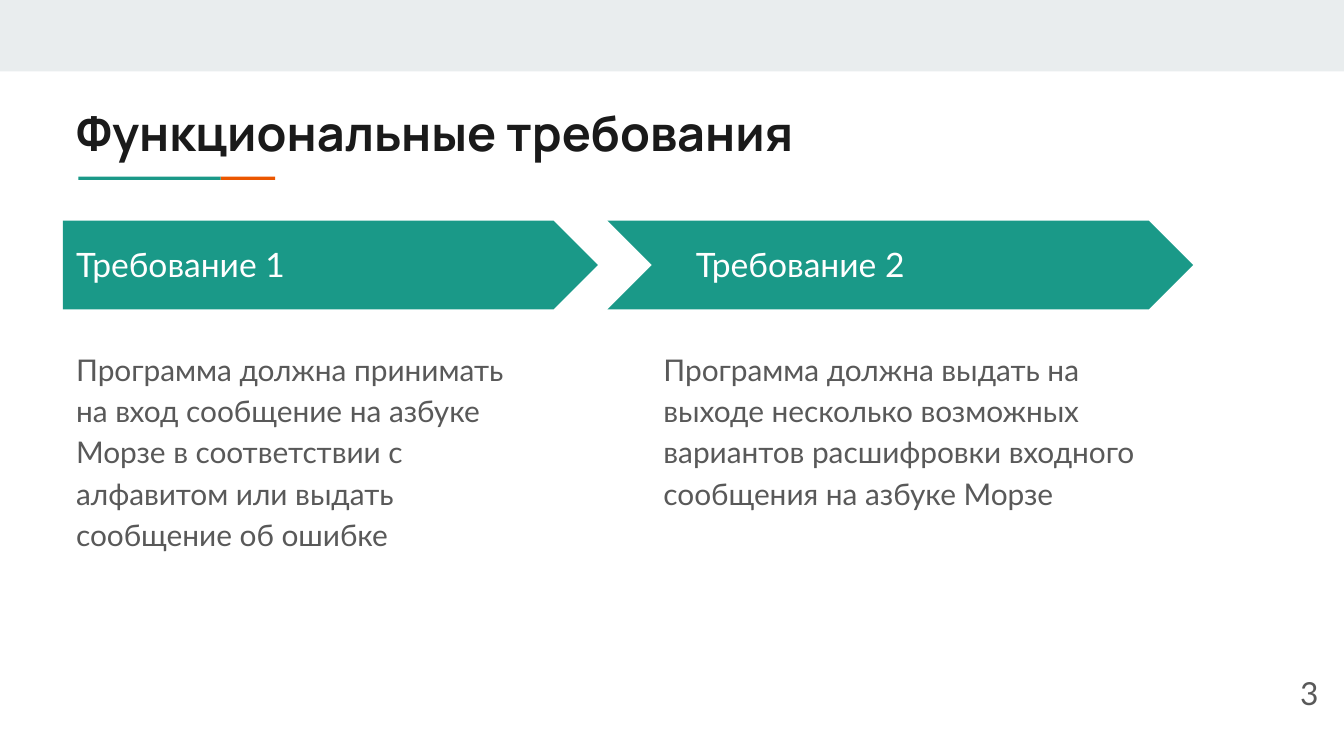
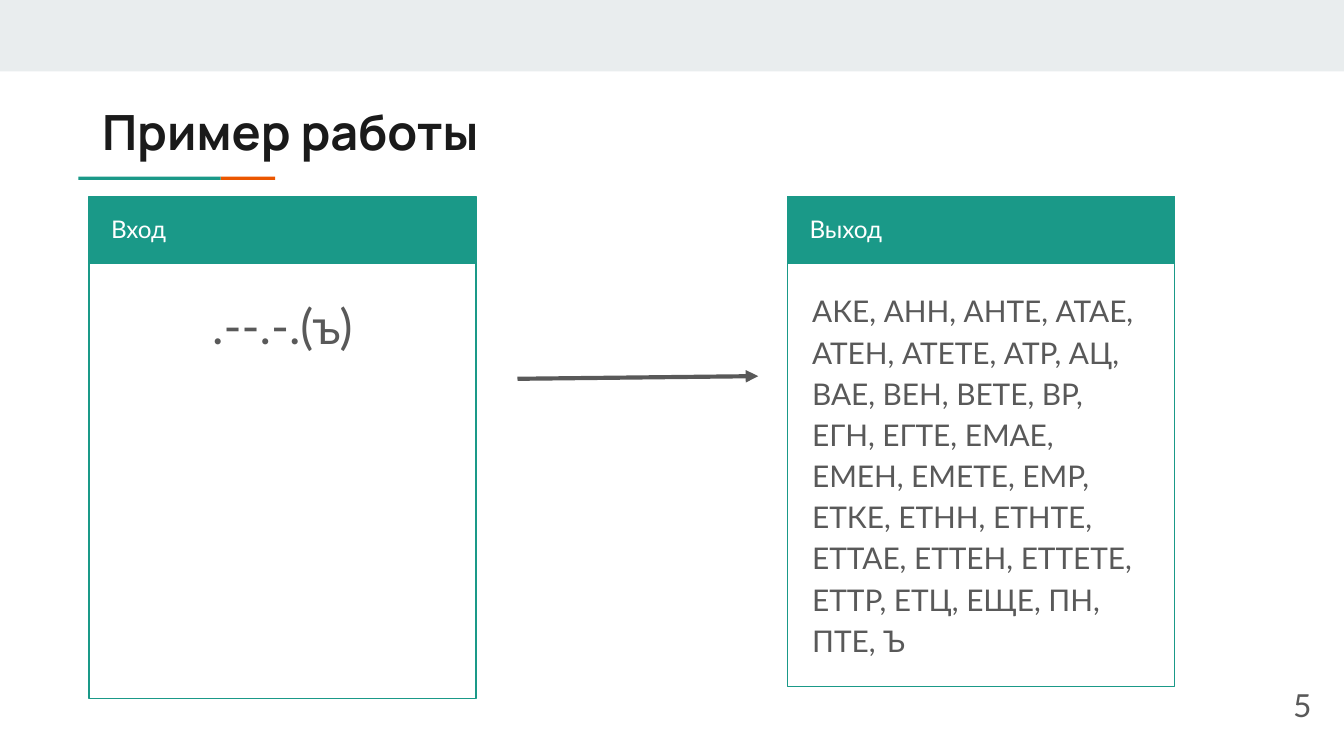
from collections import namedtuple

from lxml import etree
from pptx import Presentation
from pptx import util as u
from pptx.dml.color import RGBColor
from pptx.enum import shapes, text
from pptx.oxml import ns

TEAL = "1A9988"
ORANGE = "EB5600"
BAND = "E9EDEE"
INK = "1A1A1A"
GREY = "595959"
WHITE = "FFFFFF"
BODY_FONT = "Lato"
TITLE_FONT = "Manrope"
SLIDE_WIDTH, SLIDE_HEIGHT = 25.4, 14.29

Box = namedtuple("Box", "left top width height")


def color(hex_string):
    return RGBColor.from_string(hex_string)


def lengths(box):
    return [u.Cm(value) for value in box]


def write(shape, content, size=16, font=BODY_FONT, ink=GREY, bold=False,
          align=text.PP_ALIGN.LEFT, anchor=text.MSO_ANCHOR.TOP, spacing=1.0, after=0):
    frame = shape.text_frame
    frame.word_wrap = True
    frame.auto_size = text.MSO_AUTO_SIZE.NONE
    frame.vertical_anchor = anchor
    frame.margin_left = frame.margin_right = u.Cm(0.25)
    frame.margin_top = frame.margin_bottom = u.Cm(0.25)
    paragraph = frame.paragraphs[0]
    paragraph.alignment = align
    paragraph.line_spacing = spacing
    paragraph.space_before = u.Pt(0)
    paragraph.space_after = u.Pt(after)
    run = paragraph.add_run()
    run.text = content
    run.font.name = font
    run.font.size = u.Pt(size)
    run.font.bold = bold
    run.font.color.rgb = color(ink)


def add_text(slide, box, content, **style):
    write(slide.shapes.add_textbox(*lengths(box)), content, **style)


def add_block(slide, box, fill=None, line=None, kind=shapes.MSO_SHAPE.RECTANGLE):
    shape = slide.shapes.add_shape(kind, *lengths(box))
    shape.shadow.inherit = False
    if fill:
        shape.fill.solid()
        shape.fill.fore_color.rgb = color(fill)
    else:
        shape.fill.background()
    if line:
        shape.line.color.rgb = color(line)
        shape.line.width = u.Pt(0.75)
    else:
        shape.line.fill.background()


def add_arrow(slide, start, end):
    arrow = slide.shapes.add_connector(
        shapes.MSO_CONNECTOR.STRAIGHT, *lengths(start + end))
    arrow.line.color.rgb = color(GREY)
    arrow.line.width = u.Pt(2.25)
    etree.SubElement(arrow.line._get_or_add_ln(), ns.qn("a:tailEnd"), type="triangle")
    etree.SubElement(arrow._element.spPr, ns.qn("a:effectLst"))


def add_titled_slide(presentation, title, title_box, number, number_box):
    slide = presentation.slides.add_slide(presentation.slide_layouts[5])
    add_block(slide, Box(0, 0, SLIDE_WIDTH, 1.35), BAND)
    add_block(slide, Box(4.17, 3.34, 1.03, 0.06), ORANGE)
    add_block(slide, Box(1.48, 3.34, 2.69, 0.06), TEAL)
    placeholder = slide.shapes.title
    placeholder.left, placeholder.top, placeholder.width, placeholder.height = lengths(title_box)
    write(placeholder, title, size=26, font=TITLE_FONT, ink=INK, bold=True)
    add_text(slide, number_box, number, size=17,
             align=text.PP_ALIGN.RIGHT, anchor=text.MSO_ANCHOR.MIDDLE)
    return slide


def add_requirement(slide, box, kind, label, label_indent, description, body_indent, body_width):
    add_block(slide, box, TEAL, kind=kind)
    add_text(slide, Box(box.left + label_indent, box.top + 0.4, 6.27, 0.86), label,
             size=18, ink=WHITE, anchor=text.MSO_ANCHOR.MIDDLE)
    add_text(slide, Box(box.left + body_indent, box.top + 2.13, body_width, 5),
             description, spacing=1.15, after=8)


def add_panel(slide, box, heading, content, **style):
    header = 1.28
    add_block(slide, box, line=TEAL)
    add_block(slide, box._replace(height=header), TEAL)
    add_text(slide, Box(box.left + 0.17, box.top, box.width - 0.38, header), heading,
             size=13, ink=WHITE, spacing=1.15)
    add_text(slide, Box(box.left + 0.22, box.top + header + 0.2, box.width - 0.44,
                        box.height - header - 0.4),
             content, spacing=1.15, after=16, **style)


def build_requirements(presentation):
    slide = add_titled_slide(presentation, "Функциональные требования",
                             Box(1.19, 1.7, 21.36, 1.5), "3", Box(23.65, 12.55, 1.52, 1.09))
    add_requirement(
        slide, Box(1.19, 4.17, 10.11, 1.68), shapes.MSO_SHAPE.PENTAGON, "Требование 1", 0,
        "Программа должна принимать на вход сообщение на азбуке Морзе "
        "в соответствии с алфавитом или выдать сообщение об ошибке", 0, 8.92)
    add_requirement(
        slide, Box(11.48, 4.17, 11.07, 1.68), shapes.MSO_SHAPE.CHEVRON, "Требование 2", 1.42,
        "Программа должна выдать на выходе несколько возможных вариантов "
        "расшифровки входного сообщения на азбуке Морзе", 0.81, 9.47)


def build_example(presentation):
    slide = add_titled_slide(presentation, "Пример работы",
                             Box(1.68, 1.68, 21.36, 1.5), "5", Box(23.52, 12.78, 1.52, 1.09))
    add_panel(slide, Box(1.68, 3.71, 7.32, 9.5), "Вход", ".--.-.(ъ)",
              size=26, align=text.PP_ALIGN.CENTER)
    add_arrow(slide, (9.78, 7.16), (14.33, 7.11))
    add_panel(slide, Box(14.88, 3.71, 7.32, 9.27), "Выход",
              "АКЕ, АНН, АНТЕ, АТАЕ, АТЕН, АТЕТЕ, АТР, АЦ, ВАЕ, ВЕН, ВЕТЕ, ВР, "
              "ЕГН, ЕГТЕ, ЕМАЕ, ЕМЕН, ЕМЕТЕ, ЕМР, ЕТКЕ, ЕТНН, ЕТНТЕ, ЕТТАЕ, "
              "ЕТТЕН, ЕТТЕТЕ, ЕТТР, ЕТЦ, ЕЩЕ, ПН, ПТЕ, Ъ")


def main():
    presentation = Presentation()
    presentation.slide_width = u.Cm(SLIDE_WIDTH)
    presentation.slide_height = u.Cm(SLIDE_HEIGHT)
    build_requirements(presentation)
    build_example(presentation)
    presentation.save("out.pptx")


if __name__ == "__main__":
    main()
